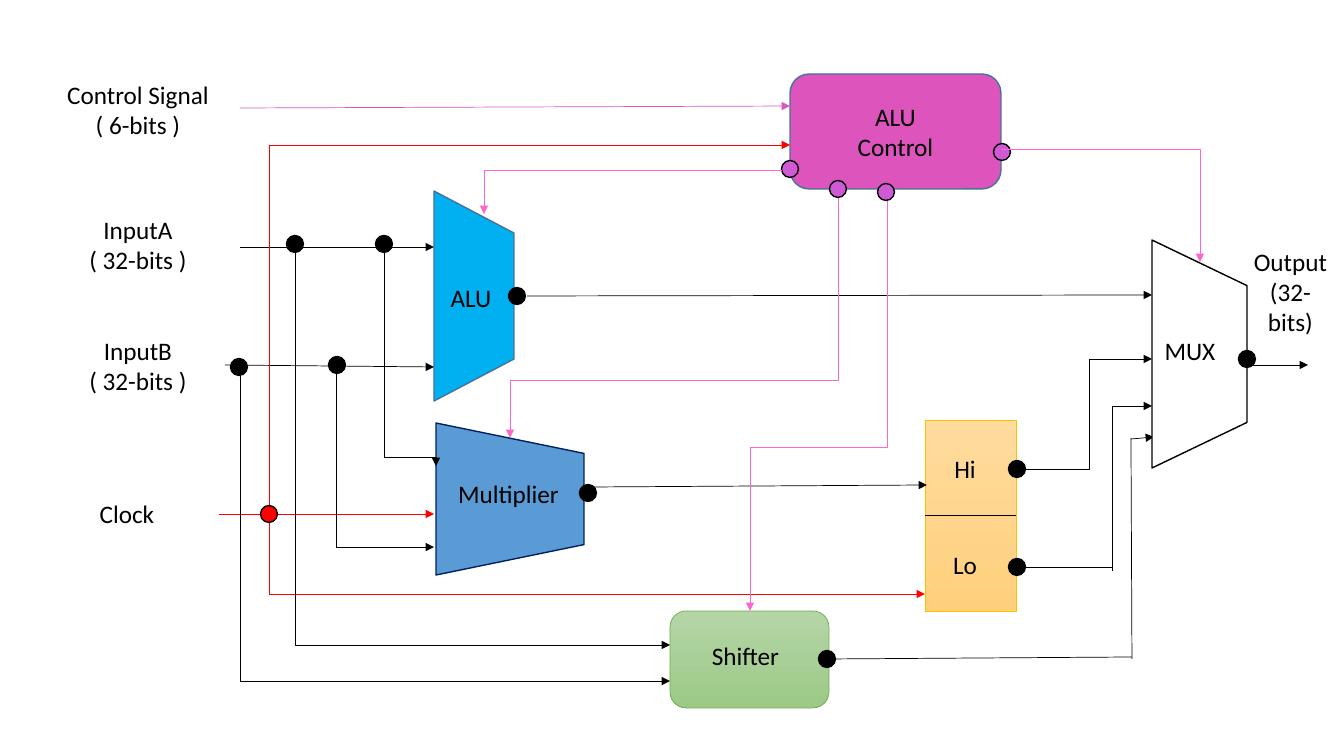
import pptx
import pptx.util
import pptx.dml.color
import pptx.enum.shapes
import pptx.enum.text
import pptx.oxml.ns
import lxml.etree

PX = 914400 / 100.8
SHAPE = pptx.enum.shapes.MSO_SHAPE
CONNECTOR = pptx.enum.shapes.MSO_CONNECTOR
CENTER = pptx.enum.text.PP_ALIGN.CENTER
COLORS = {
    "black": "000000", "white": "FFFFFF", "red": "FF0000", "pink": "FF66CC",
    "magenta": "DC54BC", "violet": "D05AD6", "steel": "43739E", "cyan": "00B0F0",
    "blue": "5B9BD5", "navy": "002060", "green": "70AD47", "gold": "FFC000",
    "green_top": "B5D5A7", "green_end": "9CC987",
    "amber_top": "FFDB9E", "amber_end": "FFD07C",
}
FONT = {"name": "Calibri", "size": pptx.util.Pt(18)}
FRAME = {"word_wrap": True, "vertical_anchor": pptx.enum.text.MSO_ANCHOR.TOP}
DOT = 17


def emu(*values):
    """Turn pixels into EMU."""
    return [pptx.util.Emu(round(v * PX)) for v in values]


def rgb(name):
    """Look up a colour by name."""
    return pptx.dml.color.RGBColor.from_string(COLORS[name])


def apply(obj, formats):
    """Set each format value on an object."""
    for key, value in formats.items():
        setattr(obj, key, value)


def write(sp, lines, **frame):
    """Write centred black lines into a shape."""
    tf = sp.text_frame
    apply(tf, {**FRAME, **frame})
    for i, line in enumerate(lines):
        p = tf.add_paragraph() if i else tf.paragraphs[0]
        p.alignment = CENTER
        r = p.add_run()
        r.text = line
        apply(r.font, FONT)
        r.font.color.rgb = rgb("black")


def label(slide, box, x, y, w, h, *lines):
    """Add a text box at an offset inside a region."""
    write(slide.shapes.add_textbox(*emu(box[0] + x, box[1] + y, w, h)), lines)


def block(slide, box, kind, fill, line, width=1):
    """Add a filled shape; a pair of fills makes a downward gradient."""
    sp = slide.shapes.add_shape(kind, *emu(*box))
    sp.shadow.inherit = False
    if isinstance(fill, tuple):
        sp.fill.gradient()
        sp.fill.gradient_angle = 270
        for stop, name in zip(sp.fill.gradient_stops, fill):
            stop.color.rgb = rgb(name)
    else:
        sp.fill.solid()
        sp.fill.fore_color.rgb = rgb(fill)
    sp.line.color.rgb = rgb(line)
    sp.line.width = pptx.util.Pt(width)
    return sp


def trapezoid(slide, box, fill, line):
    """Add a trapezoid that narrows to the right and fills the box."""
    x, y, w, h = box
    turned = (x + (w - h) / 2, y + (h - w) / 2, h, w)
    block(slide, turned, SHAPE.FLOWCHART_MANUAL_OPERATION, fill, line).rotation = 270


def dot(slide, box, x, y, fill="black"):
    """Add a round pin centred on an offset inside a region."""
    pin = (box[0] + x - DOT / 2, box[1] + y - DOT / 2, DOT, DOT)
    block(slide, pin, SHAPE.OVAL, fill, "black")


def wire(slide, box, start, end, color="black", arrow=True, bend=None, down=False, adj=None):
    """Add a wire: bend is 2 or 3 for an elbow, down starts it vertically."""
    (x1, y1), (x2, y2) = [(box[0] + x, box[1] + y) for x, y in (start, end)]
    if down:
        cx, cy, dx, dy = (x1 + x2) / 2, (y1 + y2) / 2, (x1 - x2) / 2, (y1 - y2) / 2
        x1, y1, x2, y2 = cx + dy, cy - dx, cx - dy, cy + dx
    kind = CONNECTOR.ELBOW if bend else CONNECTOR.STRAIGHT
    cxn = slide.shapes.add_connector(kind, *emu(x1, y1, x2, y2))
    cxn.line.color.rgb = rgb(color)
    cxn.line.width = pptx.util.Pt(0.5)
    qn, sub = pptx.oxml.ns.qn, lxml.etree.SubElement
    pr = cxn._element.spPr
    if down:
        pr.find(qn("a:xfrm")).set("rot", "5400000")
    if bend:
        geom = pr.find(qn("a:prstGeom"))
        geom.set("prst", f"bentConnector{bend}")
        if adj is not None:
            sub(geom.find(qn("a:avLst")), qn("a:gd"), name="adj1", fmla=f"val {round(adj * 100000)}")
    if arrow:
        sub(pr.find(qn("a:ln")), qn("a:tailEnd"), type="triangle")
    sub(pr, qn("a:effectLst"))


def inputs(slide, box):
    """Name the signals that enter on the left."""
    label(slide, box, 0, 0, 162, 72, "Control Signal", "( 6-bits )")
    for y, name in ((135, "InputA"), (256, "InputB")):
        label(slide, box, 0, y, 162, 72, name, "( 32-bits )")
    label(slide, box, 0, 419, 140, 40, "Clock")


def control(slide, box):
    """Draw the control unit and its four output pins."""
    sp = block(slide, box, SHAPE.ROUNDED_RECTANGLE, "magenta", "steel")
    write(sp, ["ALU", "Control"], vertical_anchor=pptx.enum.text.MSO_ANCHOR.MIDDLE)
    for x, y in ((0, 95), (48, 115), (96, 118), (212, 78)):
        dot(slide, box, x, y, "violet")


def unit(slide, box, fill, line, name, text, pin):
    """Draw an arithmetic unit with its name and output pin."""
    trapezoid(slide, box, fill, line)
    label(slide, box, *text, name)
    dot(slide, box, *pin)


def shifter(slide, box):
    """Draw the shifter and its output pin."""
    block(slide, box, SHAPE.ROUNDED_RECTANGLE, ("green_top", "green_end"), "green", 0.5)
    label(slide, box, 8, 24, 135, 40, "Shifter")
    dot(slide, box, 157, 48)


def registers(slide, box):
    """Draw the Hi and Lo register halves with their pins."""
    w, h = box[2:]
    block(slide, box, SHAPE.RECTANGLE, ("amber_top", "amber_end"), "gold", 0.5)
    wire(slide, box, (0, h / 2), (w, h / 2), arrow=False)
    for y, name, pin in ((28, "Hi", 49), (124, "Lo", 147)):
        label(slide, box, 0, y, 80, 40, name)
        dot(slide, box, w + 1, pin)


def mux(slide, box):
    """Draw the output selector, its select line and its output."""
    unit(slide, box, "white", "black", "MUX", (-22, 90, 120, 40), (95, 119))
    wire(slide, box, (-150, -91), (48, 22), "pink", bend=2)
    wire(slide, box, (96, 125), (156, 125))
    label(slide, box, 90, 1, 97, 102, "Output", "(32-bits)")


def wiring(slide, box):
    """Draw the wires between regions and the taps on the input wires."""
    straight = [
        ((240, 108), (790, 106), "magenta"), ((240, 247), (434, 247), "black"),
        ((225, 365), (434, 367), "black"), ((219, 514), (434, 514), "red"),
        ((594, 487), (927, 485), "black"), ((527, 296), (1152, 295), "black"),
        ((1112, 406), (1152, 406), "black"), ((1131, 439), (1154, 437), "black"),
    ]
    plain = [((1018, 567), (1112, 567)), ((1112, 571), (1112, 406)),
             ((830, 659), (1132, 657)), ((1132, 659), (1131, 438))]
    corners = [
        ((269, 506), (790, 145), "red"), ((269, 522), (925, 594), "red"),
        ((240, 375), (670, 681), "black"), ((295, 253), (670, 645), "black"),
        ((336, 371), (434, 547), "black"),
    ]
    steps = [
        ((384, 253), (436, 466), "black", 0.96), ((838, 198), (510, 438), "pink", 0.76),
        ((887, 201), (750, 611), "pink", 0.6),
    ]
    taps = [(295, 244), (384, 244), (239, 367), (337, 365)]
    for start, end, color in straight:
        wire(slide, box, start, end, color)
    for start, end in plain:
        wire(slide, box, start, end, arrow=False)
    for start, end, color in corners:
        wire(slide, box, start, end, color, bend=2, down=True)
    for start, end, color, adj in steps:
        wire(slide, box, start, end, color, bend=3, down=True, adj=adj)
    wire(slide, box, (782, 170), (484, 214), "pink", bend=2)
    wire(slide, box, (1018, 469), (1152, 359), bend=3, adj=0.53)
    for x, y in taps:
        dot(slide, box, x, y)
    dot(slide, box, 269, 514, "red")


prs = pptx.Presentation()
prs.slide_width, prs.slide_height = emu(1344, 756)
slide = prs.slides.add_slide(prs.slide_layouts[6])
inputs(slide, (57, 74, 162, 459))
control(slide, (790, 74, 211, 115))
unit(slide, (434, 191, 80, 210), "cyan", "steel", "ALU", (-6, 86, 86, 40), (83, 105))
unit(slide, (436, 423, 148, 152), "blue", "navy", "Multiplier", (5, 50, 135, 40), (152, 70))
shifter(slide, (670, 611, 159, 97))
registers(slide, (925, 420, 91, 191))
wiring(slide, (0, 0, 1344, 756))
mux(slide, (1152, 240, 95, 228))
prs.save("out.pptx")
